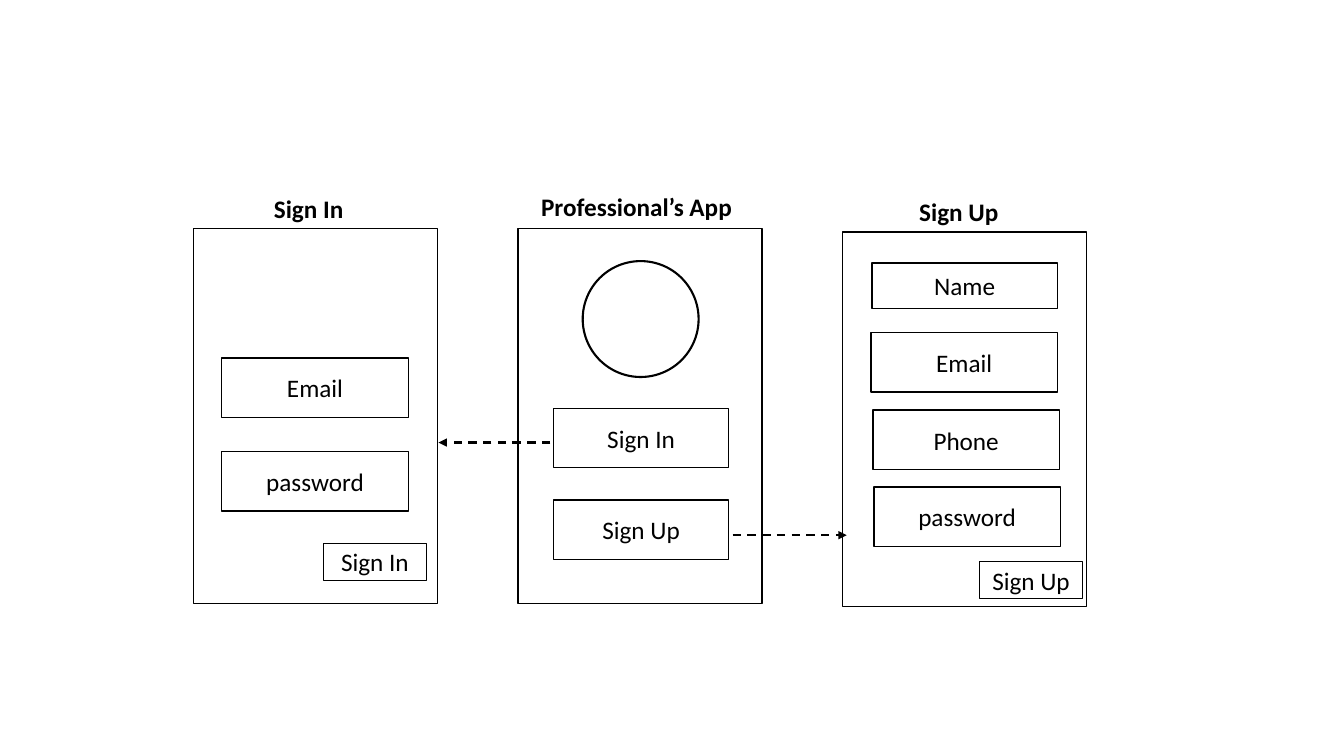
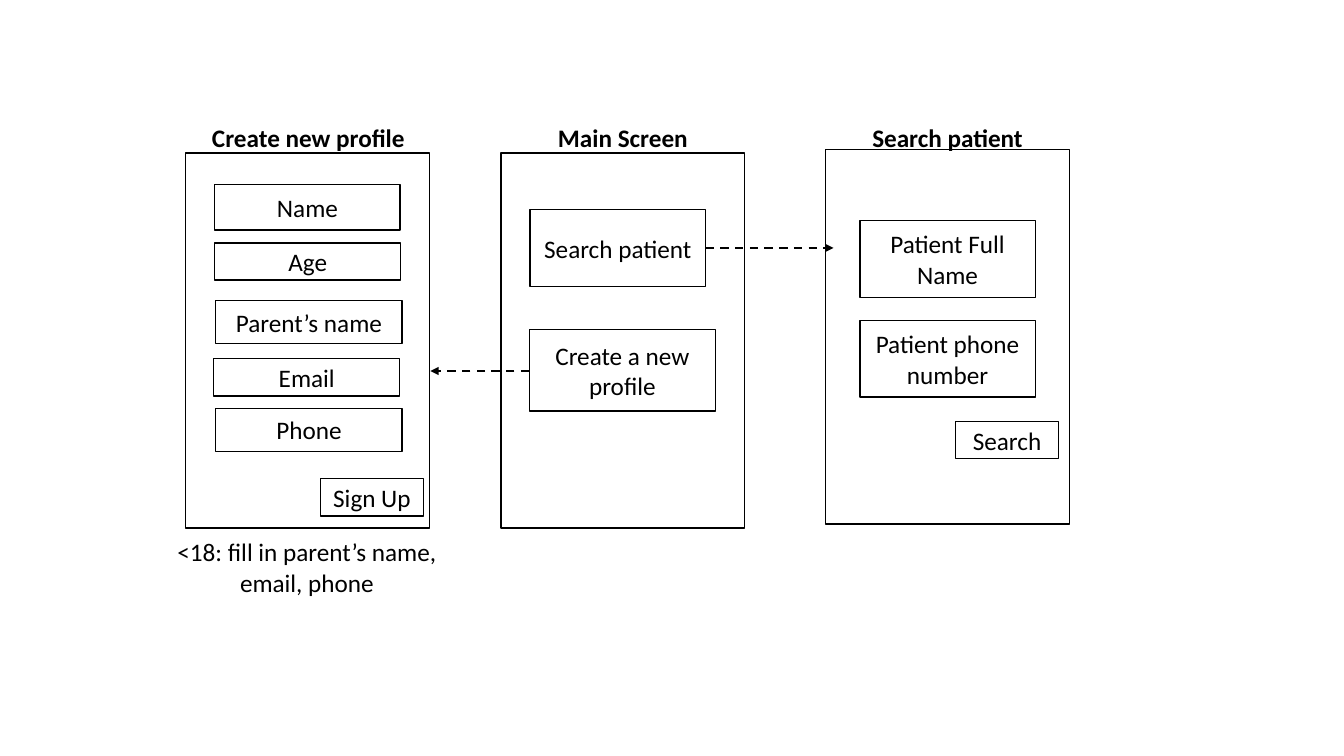
import pptx
import pptx.util
import pptx.dml.color
import pptx.enum.dml
import pptx.enum.shapes
import pptx.enum.text
import pptx.oxml
import pptx.oxml.ns

Pt = pptx.util.Pt
SHAPES = pptx.enum.shapes.MSO_SHAPE
INK, PAPER = "000000", "FFFFFF"
FONT, TEXT_SIZE = "Calibri", 18
SLIDE_SIZE = (960, 540)
SCREEN_SIZE = (174.2, 267.8)
TITLE_HEIGHT = 31

SIZES = {
    "field": (133.2, 42.5),
    "low field": (133.2, 31),
    "name": (132.5, 32.4),
    "line": (132.8, 26.6),
    "button": (125.3, 42.5),
    "tall button": (125.3, 54.7),
    "wide button": (133.2, 58.3),
    "submit": (73.4, 26.6),
    "logo": (82.8, 82.8),
}

SLIDES = [
    {
        "screens": [
            {"title": "Sign In ", "title_box": (140.4, 133.2, 164.2), "at": (138.2, 163.4),
             "parts": [("field", "Email", 20.2, 92.2), ("field", "password", 20.2, 159.1),
                       ("submit", "Sign In", 92.9, 224.7)]},
            {"title": "Professional’s App", "title_box": (350.6, 131.8, 208.1), "at": (370.1, 163.4),
             "parts": [("logo", "", 46.1, 23.1), ("button", "Sign In", 25.2, 128.2),
                       ("button", "Sign Up", 25.2, 193.7)]},
            {"title": "Sign Up ", "title_box": (604.8, 135.4, 164.2), "at": (601.9, 165.6),
             "parts": [("name", "Name", 20.9, 22.3), ("field", "Email", 20.2, 72),
                       ("field", "Phone", 21.6, 127.4), ("field", "password", 22.3, 182.2),
                       ("submit", "Sign Up", 97.9, 235.4)]},
        ],
        "arrows": [(393.1, 313.2, 316.1), (523.4, 604.8, 382.3)],
        "notes": [],
    },
    {
        "screens": [
            {"title": "Create new profile", "title_box": (138.2, 82.8, 164.2), "at": (132.5, 109.4),
             "parts": [("name", "Name", 20.9, 22.4), ("line", "Age", 20.9, 64.1),
                       ("low field", "Parent’s name", 21.6, 105.2), ("line", "Email", 20.2, 146.9),
                       ("low field", "Phone", 21.6, 182.2), ("submit", "Sign Up", 96.5, 232.6)]},
            {"title": "Main Screen", "title_box": (382.3, 82.8, 125.3), "at": (357.8, 109.4),
             "parts": [("tall button", "Search patient", 20.9, 40.4),
                       ("wide button", "Create a new profile", 20.2, 126)]},
            {"title": "Search patient", "title_box": (614.2, 82.8, 125.3), "at": (589.7, 106.6),
             "parts": [("tall button", "Patient Full Name", 24.5, 51.1),
                       ("tall button", "Patient phone number", 24.5, 122.4),
                       ("submit", "Search", 92.9, 194.4)]},
        ],
        "arrows": [(504, 595.4, 177.1), (378, 307.4, 265)],
        "notes": [("<18: fill in parent’s name, email, phone", (108, 378, 222.5, 54))],
    },
]


def color(hex_value):
    return pptx.dml.color.RGBColor.from_string(hex_value)


def write(shape, text, bold=False):
    frame = shape.text_frame
    frame.word_wrap = True
    frame.vertical_anchor = pptx.enum.text.MSO_ANCHOR.MIDDLE
    frame.text = text
    paragraph = frame.paragraphs[0]
    paragraph.alignment = pptx.enum.text.PP_ALIGN.CENTER
    for run in paragraph.runs:
        run.font.name = FONT
        run.font.size = Pt(TEXT_SIZE)
        run.font.bold = bold
        run.font.color.rgb = color(INK)


def add_label(slide, text, box, bold=False):
    write(slide.shapes.add_textbox(*map(Pt, box)), text, bold)


def add_outline(slide, kind, box, text="", line_width=1):
    shape = slide.shapes.add_shape(kind, *map(Pt, box))
    shape.shadow.inherit = False
    shape.fill.background()
    shape.line.color.rgb = color(INK)
    shape.line.width = Pt(line_width)
    if text:
        write(shape, text)


def add_arrow(slide, start, end, height):
    arrow = slide.shapes.add_connector(
        pptx.enum.shapes.MSO_CONNECTOR.STRAIGHT, Pt(start), Pt(height), Pt(end), Pt(height))
    arrow.line.color.rgb = color(INK)
    arrow.line.width = Pt(1.5)
    arrow.line.dash_style = pptx.enum.dml.MSO_LINE.DASH
    head = pptx.oxml.parse_xml(
        f'<a:tailEnd {pptx.oxml.ns.nsdecls("a")} type="triangle"/>')
    arrow.line._get_or_add_ln().append(head)
    arrow._element.spPr.append(
        pptx.oxml.parse_xml(f'<a:effectLst {pptx.oxml.ns.nsdecls("a")}/>'))


def add_screen(slide, screen):
    left, top = screen["at"]
    add_outline(slide, SHAPES.RECTANGLE, (left, top, *SCREEN_SIZE))
    for size, text, across, down in screen["parts"]:
        is_logo = size == "logo"
        add_outline(slide, SHAPES.OVAL if is_logo else SHAPES.RECTANGLE,
                    (left + across, top + down, *SIZES[size]), text, 1.5 if is_logo else 1)
    add_label(slide, screen["title"], (*screen["title_box"][:2], screen["title_box"][2], TITLE_HEIGHT), True)


presentation = pptx.Presentation()
presentation.slide_width, presentation.slide_height = map(Pt, SLIDE_SIZE)
for content in SLIDES:
    slide = presentation.slides.add_slide(presentation.slide_layouts[6])
    slide.background.fill.solid()
    slide.background.fill.fore_color.rgb = color(PAPER)
    for screen in content["screens"]:
        add_screen(slide, screen)
    for arrow in content["arrows"]:
        add_arrow(slide, *arrow)
    for text, box in content["notes"]:
        add_label(slide, text, box)
presentation.save("out.pptx")
